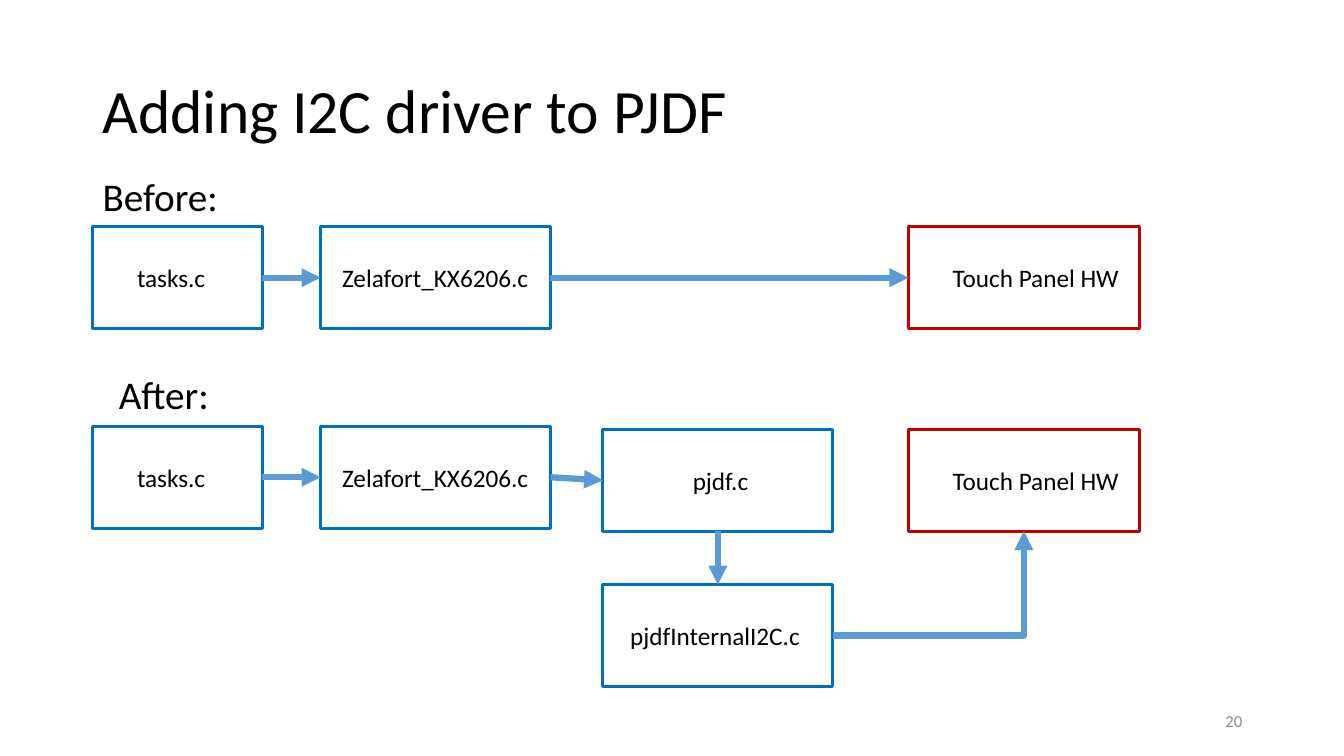
"""Build the slide that compares the driver call chain before and after PJDF."""
from lxml import etree
from pptx import Presentation
from pptx.dml.color import RGBColor
from pptx.enum.shapes import MSO_CONNECTOR, MSO_SHAPE
from pptx.enum.text import MSO_ANCHOR, PP_ALIGN
from pptx.oxml.ns import qn
from pptx.util import Inches, Pt

RECTANGLE = MSO_SHAPE.RECTANGLE
STRAIGHT, ELBOW = MSO_CONNECTOR.STRAIGHT, MSO_CONNECTOR.ELBOW
TOP_ANCHOR, MIDDLE = MSO_ANCHOR.TOP, MSO_ANCHOR.MIDDLE
LEFT_ALIGN, RIGHT_ALIGN = PP_ALIGN.LEFT, PP_ALIGN.RIGHT
TOP, LEFT, BOTTOM, RIGHT = range(4)

FONT = "Calibri"
BLACK, GREY = "000000", "8C8C8C"
SOFTWARE, HARDWARE, FLOW = "0070C0", "C00000", "5B9BD5"
BOX_HEIGHT, INSET, SPACE_WIDTH = 1.01, 0.1, 0.0565

# column: (left, width); row: top
COLUMNS = {"tasks": (0.92, 1.68), "library": (3.18, 2.28),
           "framework": (5.98, 2.28), "panel": (9.01, 2.29)}
ROWS = {"before": 2.25, "after": 4.23, "after_low": 4.26, "internal": 5.8}

# column: (label, indent in spaces, outline)
TASKS = ("tasks", "tasks.c", 6, SOFTWARE)
LIBRARY = ("library", "Zelafort_KX6206.c", 2, SOFTWARE)
PANEL = ("panel", "Touch Panel HW", 6, HARDWARE)
FRAMEWORK = ("framework", "pjdf.c", 14, SOFTWARE)
INTERNAL = ("framework", "pjdfInternalI2C.c", 3, SOFTWARE)

STAGES = {
    "before tasks": ("before", TASKS),
    "before library": ("before", LIBRARY),
    "before panel": ("before", PANEL),
    "after tasks": ("after", TASKS),
    "after library": ("after", LIBRARY),
    "after panel": ("after_low", PANEL),
    "framework": ("after_low", FRAMEWORK),
    "internal": ("internal", INTERNAL),
}
CALLS = [
    ("before tasks", RIGHT, "before library", LEFT),
    ("before library", RIGHT, "before panel", LEFT),
    ("after tasks", RIGHT, "after library", LEFT),
    ("after library", RIGHT, "framework", LEFT),
    ("framework", BOTTOM, "internal", TOP),
    ("internal", RIGHT, "after panel", BOTTOM),
]
# text, (left, top, width, height), size, colour, anchor, alignment, line spacing
CAPTIONS = [
    ("Adding I2C driver to PJDF", (0.92, 0.4, 11.5, 1.45), 44, BLACK, MIDDLE, LEFT_ALIGN, 0.9),
    ("Before:", (0.92, 1.66, 1.36, 0.57), 28, BLACK, TOP_ANCHOR, LEFT_ALIGN, 1.0),
    ("After:", (1.08, 3.62, 1.11, 0.57), 28, BLACK, TOP_ANCHOR, LEFT_ALIGN, 1.0),
    ("20", (9.42, 6.95, 3, 0.4), 12, GREY, MIDDLE, RIGHT_ALIGN, 1.0),
]


def colour(hex_code):
    return RGBColor.from_string(hex_code)


def write(shape, text, size, ink, anchor, align=LEFT_ALIGN, spacing=1.0, wrap=True):
    frame = shape.text_frame
    frame.word_wrap = wrap
    frame.vertical_anchor = anchor
    paragraph = frame.paragraphs[0]
    paragraph.alignment = align
    paragraph.line_spacing = spacing
    run = paragraph.add_run()
    run.text = text
    run.font.name = FONT
    run.font.size = Pt(size)
    run.font.color.rgb = colour(ink)


def add_stage(slide, row, stage):
    column, label, indent, outline = stage
    left, width = COLUMNS[column]
    box = slide.shapes.add_shape(
        RECTANGLE, *map(Inches, (left, ROWS[row], width, BOX_HEIGHT)))
    box.shadow.inherit = False
    box.fill.background()
    box.line.color.rgb = colour(outline)
    box.line.width = Pt(2.25)
    write(box, label, 18, BLACK, MIDDLE)
    box.text_frame.margin_left = Inches(INSET + indent * SPACE_WIDTH)
    box.text_frame.margin_right = 0
    return box


def add_call(slide, caller, exit_side, callee, entry_side):
    turns = (exit_side - entry_side) % 2 == 1
    arrow = slide.shapes.add_connector(ELBOW if turns else STRAIGHT, 0, 0, 0, 0)
    arrow.begin_connect(caller, exit_side)
    arrow.end_connect(callee, entry_side)
    arrow.line.color.rgb = colour(FLOW)
    arrow.line.width = Pt(4.5)
    properties = arrow._element.spPr
    if turns:
        properties.find(qn("a:prstGeom")).set("prst", "bentConnector2")
    etree.SubElement(properties.find(qn("a:ln")), qn("a:tailEnd"), type="triangle")
    etree.SubElement(properties, qn("a:effectLst"))


deck = Presentation()
deck.slide_width, deck.slide_height = Inches(13.33), Inches(7.5)
slide = deck.slides.add_slide(deck.slide_layouts[6])

for text, place, *style in CAPTIONS:
    write(slide.shapes.add_textbox(*map(Inches, place)), text, *style)

boxes = {name: add_stage(slide, *stage) for name, stage in STAGES.items()}
for caller, exit_side, callee, entry_side in CALLS:
    add_call(slide, boxes[caller], exit_side, boxes[callee], entry_side)

deck.save("out.pptx")
